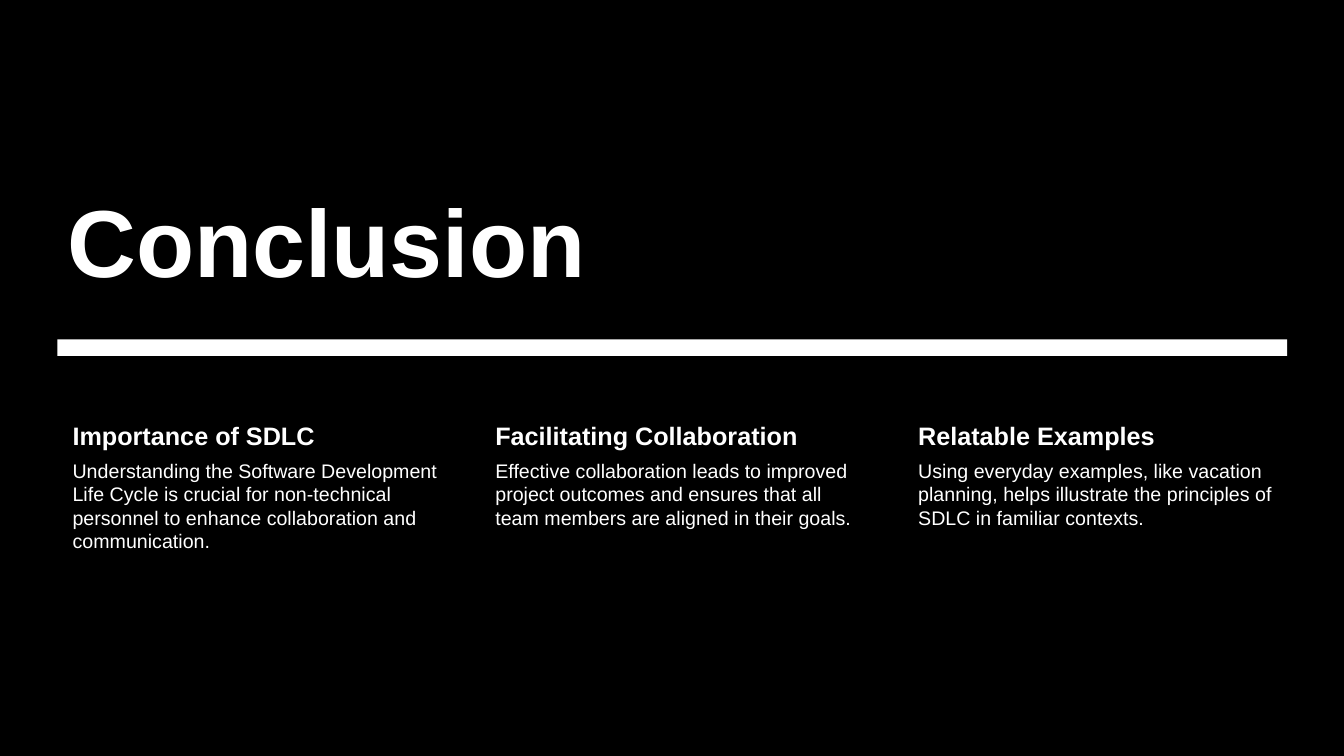
from pptx import Presentation
from pptx.dml.color import RGBColor
from pptx.enum.shapes import MSO_SHAPE as Preset
from pptx.enum.text import MSO_ANCHOR as Anchor, MSO_AUTO_SIZE as AutoSize, PP_ALIGN as Align
from pptx.util import Cm, Pt

BLACK = RGBColor(0x00, 0x00, 0x00)
WHITE = RGBColor(0xFF, 0xFF, 0xFF)

TITLE_FONT = {"name": "Arial", "size": Pt(68), "bold": True}
HEADING_FONT = {"name": "Arial", "size": Pt(18), "bold": True}
DETAIL_FONT = {"name": "Arial", "size": Pt(14), "bold": False}

PAGE_WIDTH, PAGE_HEIGHT = 33.87, 19.05
LEFT, WIDTH = 1.45, 30.99
COLUMN_WIDTH = 9.68
HEADING_HEIGHT = 0.99

TAKEAWAYS = [
    ("Importance of SDLC",
     "Understanding the Software Development Life Cycle is crucial for non-technical "
     "personnel to enhance collaboration and communication."),
    ("Facilitating Collaboration",
     "Effective collaboration leads to improved project outcomes and ensures that all "
     "team members are aligned in their goals."),
    ("Relatable Examples",
     "Using everyday examples, like vacation planning, helps illustrate the principles "
     "of SDLC in familiar contexts."),
]


def set_values(target, values):
    for name, value in values.items():
        setattr(target, name, value)


def write_text(frame, text, font):
    set_values(frame, {"word_wrap": True, "auto_size": AutoSize.NONE})
    para = frame.paragraphs[0]
    para.alignment = Align.LEFT
    span = para.add_run()
    span.text = text
    set_values(span.font, font)
    span.font.color.rgb = WHITE


def add_title(page, left, top, width, height):
    title = page.shapes.title
    set_values(title, {"left": Cm(left), "top": Cm(top),
                       "width": Cm(width), "height": Cm(height)})
    title.text_frame.vertical_anchor = Anchor.BOTTOM
    write_text(title.text_frame, "Conclusion", TITLE_FONT)


def add_panel(page, left, top, width, height, color):
    panel = page.shapes.add_shape(Preset.RECTANGLE, Cm(left), Cm(top), Cm(width), Cm(height))
    panel.shadow.inherit = False
    panel.fill.solid()
    panel.fill.fore_color.rgb = color
    panel.line.fill.background()
    return panel


def add_backdrop(page, left, top, width, height):
    """Cover the box in black, behind everything including the title."""
    page.background.fill.solid()
    page.background.fill.fore_color.rgb = BLACK
    backdrop = add_panel(page, left, top, width, height, BLACK)
    page.shapes.title.element.addprevious(backdrop.element)


def add_text(page, left, top, width, height, text, font, inset):
    box = page.shapes.add_textbox(Cm(left), Cm(top), Cm(width), Cm(height))
    set_values(box.text_frame, {"margin_left": Cm(0.38), "margin_top": Cm(inset),
                                "margin_right": Cm(inset), "margin_bottom": Cm(inset)})
    write_text(box.text_frame, text, font)


def add_takeaways(page, left, top, width, height):
    """Spread heading and detail columns evenly over the box."""
    step = (width - COLUMN_WIDTH) / (len(TAKEAWAYS) - 1)
    for index, (heading, detail) in enumerate(TAKEAWAYS):
        column = left + index * step
        add_text(page, column, top, COLUMN_WIDTH, HEADING_HEIGHT,
                 heading, HEADING_FONT, 0.08)
        add_text(page, column, top + HEADING_HEIGHT, COLUMN_WIDTH,
                 height - HEADING_HEIGHT, detail, DETAIL_FONT, 0.05)


def build_conclusion(deck):
    page = deck.slides.add_slide(deck.slide_layouts.get_by_name("Title Only"))
    add_backdrop(page, 0, 0, PAGE_WIDTH, PAGE_HEIGHT)
    add_panel(page, LEFT, 8.55, WIDTH, 0.42, WHITE)
    add_title(page, LEFT, 3.68, WIDTH, 3.91)
    add_takeaways(page, LEFT, 10.52, WIDTH, 6.81)


def main():
    deck = Presentation()
    set_values(deck, {"slide_width": Cm(PAGE_WIDTH), "slide_height": Cm(PAGE_HEIGHT)})
    build_conclusion(deck)
    deck.save("out.pptx")


if __name__ == "__main__":
    main()
